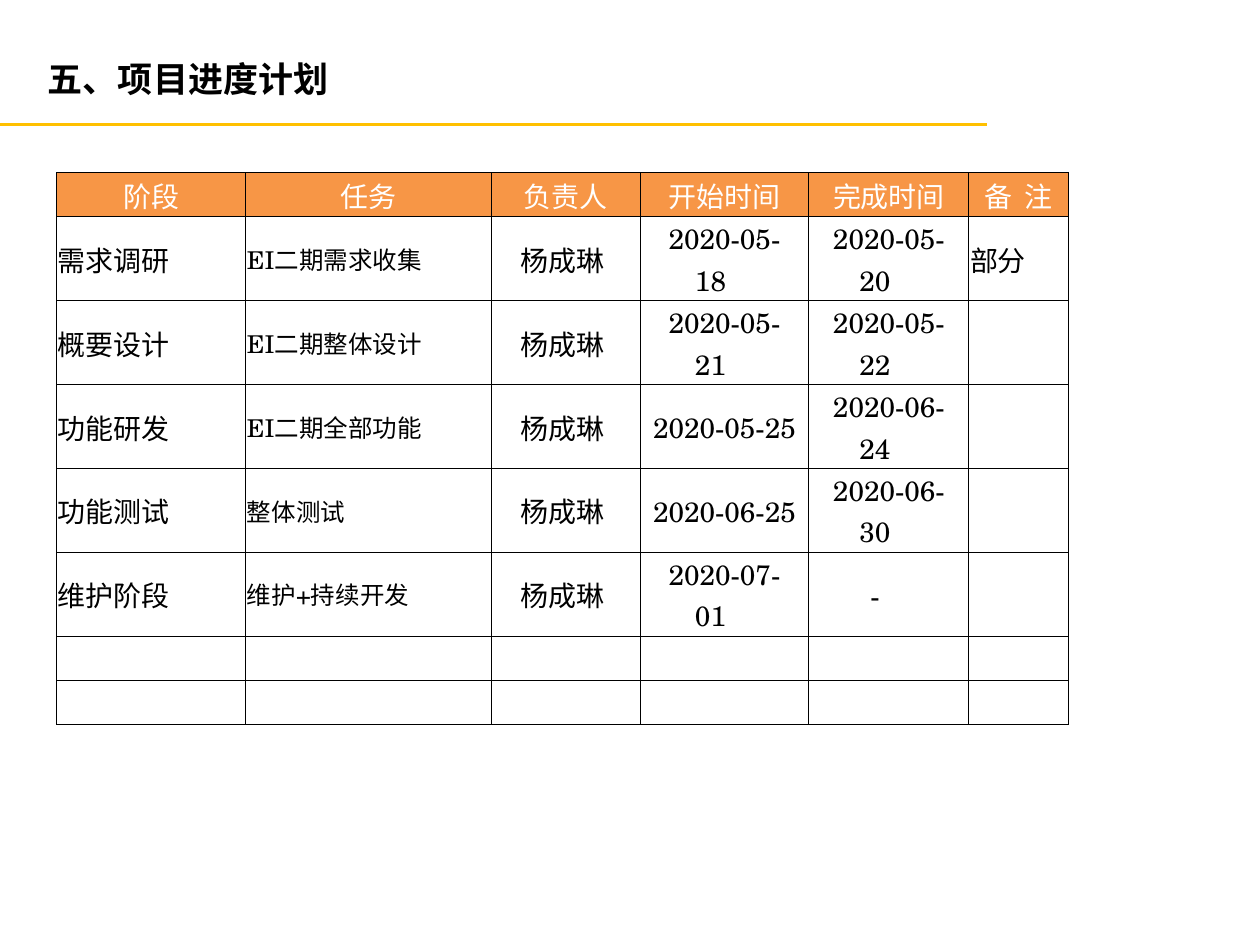
from dataclasses import dataclass

from lxml.etree import SubElement
from pptx import Presentation
from pptx.dml.color import RGBColor
from pptx.enum.shapes import MSO_CONNECTOR
from pptx.enum.text import MSO_ANCHOR, PP_ALIGN
from pptx.oxml import parse_xml
from pptx.oxml.ns import nsdecls, qn
from pptx.util import Inches, Pt

CJK_FONT = "Noto Sans CJK SC"
TABLE_FONT = "TeX Gyre Schola"
BLACK, WHITE, ORANGE, GOLD = "000000", "FFFFFF", "F79646", "FFC000"
ROW_HEIGHT = 0.35
OWNER = "\u3000杨成琳"


@dataclass(frozen=True)
class Column:
    heading: str
    width: float
    size: int = 16
    align: PP_ALIGN = PP_ALIGN.LEFT


COLUMNS = [
    Column("阶段", 1.5),
    Column("任务", 1.95, size=14),
    Column("负责人", 1.18),
    Column("开始时间", 1.34, align=PP_ALIGN.CENTER),
    Column("完成时间", 1.27, align=PP_ALIGN.CENTER),
    Column("备  注", 0.79),
]

TASKS = [
    ("需求调研", "EI二期需求收集", OWNER, "2020-05-18\u3000", "2020-05-20\u3000", "部分"),
    ("概要设计", "EI二期整体设计", OWNER, "2020-05-21\u3000", "2020-05-22\u3000", ""),
    ("功能研发", "EI二期全部功能", OWNER, "2020-05-25", "2020-06-24\u3000", ""),
    ("功能测试", "整体测试", OWNER, "2020-06-25", "2020-06-30\u3000", ""),
    ("维护阶段", "维护+持续开发", OWNER, "2020-07-01\u3000", "-\u3000", ""),
    ("",) * len(COLUMNS),
    ("",) * len(COLUMNS),
]


def color(value: str) -> RGBColor:
    return RGBColor.from_string(value)


def write(frame, text: str, *, size: int, font: str, ink: str = BLACK,
          bold: bool = False, align: PP_ALIGN = PP_ALIGN.LEFT) -> None:
    para = frame.paragraphs[0]
    para.alignment = align
    span = para.add_run()
    span.text = text
    span.font.size = Pt(size)
    span.font.name = font
    span.font.bold = bold
    span.font.color.rgb = color(ink)
    SubElement(span.font._element, qn("a:ea")).set("typeface", CJK_FONT)


def add_borders(cell) -> None:
    properties = cell._tc.get_or_add_tcPr()
    for index, side in enumerate(("lnL", "lnR", "lnT", "lnB")):
        border = parse_xml(
            f'<a:{side} {nsdecls("a")} w="{Pt(0.5)}"><a:solidFill>'
            f'<a:srgbClr val="{BLACK}"/></a:solidFill></a:{side}>'
        )
        properties.insert(index, border)


def fill_cell(cell, text: str, column: Column, heading: bool) -> None:
    cell.vertical_anchor = MSO_ANCHOR.MIDDLE
    cell.margin_left = cell.margin_right = cell.margin_top = Inches(0.01)
    cell.margin_bottom = 0
    if heading:
        cell.fill.solid()
        cell.fill.fore_color.rgb = color(ORANGE)
    else:
        cell.fill.background()
    add_borders(cell)
    if text:
        write(cell.text_frame, text, font=TABLE_FONT,
              size=16 if heading else column.size,
              ink=WHITE if heading else BLACK,
              align=PP_ALIGN.CENTER if heading else column.align)


def add_schedule(page) -> None:
    rows = [tuple(column.heading for column in COLUMNS), *TASKS]
    width = sum(column.width for column in COLUMNS)
    table = page.shapes.add_table(
        len(rows), len(COLUMNS), Inches(0.45), Inches(1.37),
        Inches(width), Inches(ROW_HEIGHT * len(rows)),
    ).table
    table.first_row = table.horz_banding = False
    for index, column in enumerate(COLUMNS):
        table.columns[index].width = Inches(column.width)
    for row_index, texts in enumerate(rows):
        table.rows[row_index].height = Inches(ROW_HEIGHT)
        for index, (text, column) in enumerate(zip(texts, COLUMNS)):
            fill_cell(table.cell(row_index, index), text, column, row_index == 0)


def add_rule(page) -> None:
    rule = page.shapes.add_connector(
        MSO_CONNECTOR.STRAIGHT, 0, Inches(0.99), Inches(7.83), Inches(0.99))
    rule.line.color.rgb = color(GOLD)
    rule.line.width = Pt(1.5)
    SubElement(rule._element.spPr, qn("a:effectLst"))


def add_title(page, text: str) -> None:
    title = page.shapes.title
    title.left, title.top = Inches(0.28), 0
    title.width, title.height = Inches(9), Inches(1.25)
    title.text_frame.vertical_anchor = MSO_ANCHOR.MIDDLE
    write(title.text_frame, text, size=20, font=CJK_FONT, bold=True)


deck = Presentation()
deck.slide_width, deck.slide_height = Inches(10), Inches(7.5)
page = deck.slides.add_slide(deck.slide_layouts[5])
add_rule(page)
add_title(page, "五、项目进度计划")
add_schedule(page)
deck.save("out.pptx")
